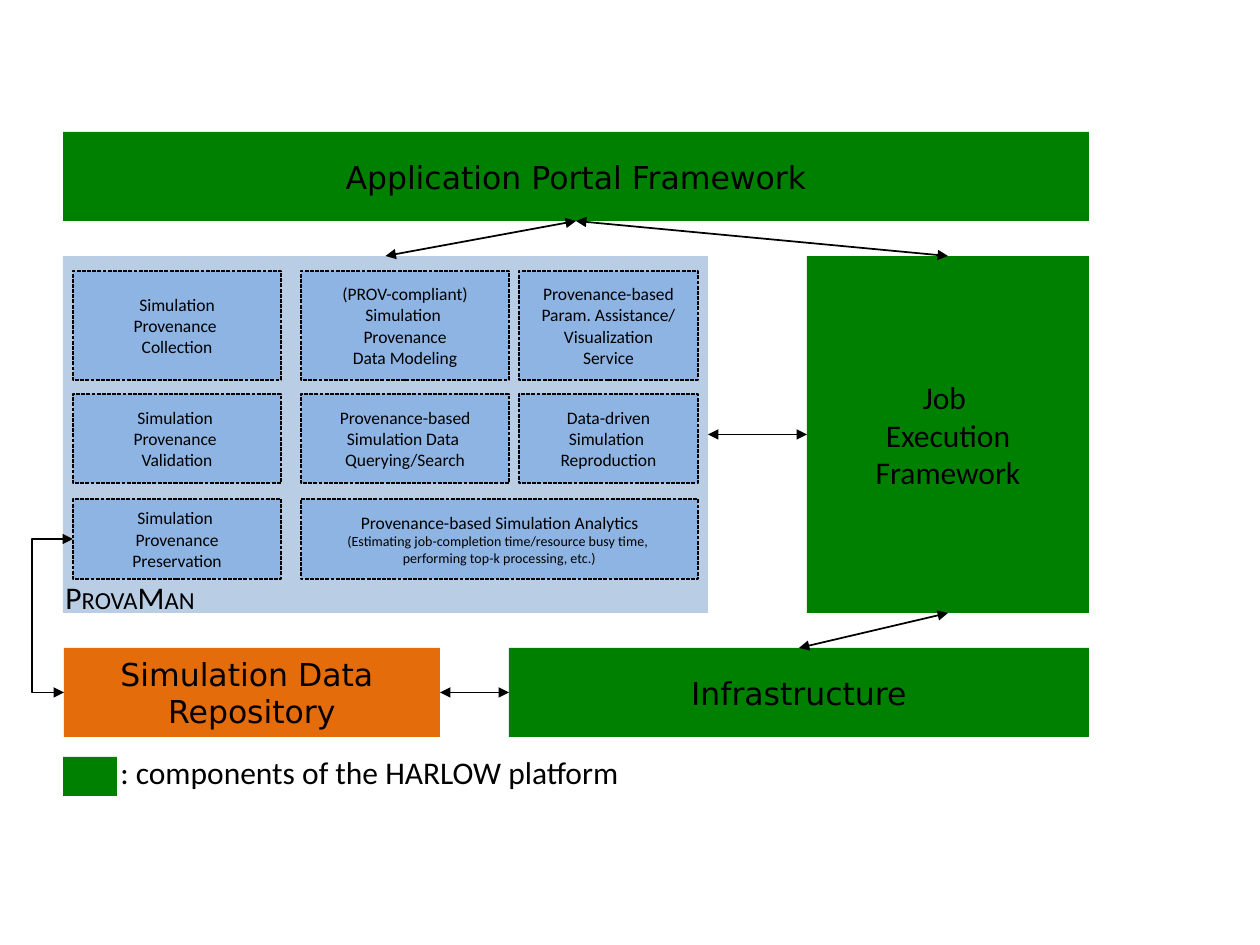
from dataclasses import dataclass
from typing import NamedTuple

from lxml.etree import SubElement
from pptx import Presentation
from pptx.dml.color import RGBColor
from pptx.enum.dml import MSO_LINE
from pptx.enum.shapes import MSO_CONNECTOR, MSO_SHAPE
from pptx.enum.text import MSO_ANCHOR, MSO_AUTO_SIZE, PP_ALIGN
from pptx.oxml.ns import qn
from pptx.util import Emu, Inches, Pt

PX_PER_INCH = 126
COLORS = {
    "platform": "008000",
    "panel": "B9CDE5",
    "module": "8EB4E3",
    "repository": "E46C0A",
    "ink": "000000",
}
TOP, LEFT, BOTTOM, RIGHT = range(4)


class Run(NamedTuple):
    text: str
    size: int


Paragraphs = tuple[tuple[Run, ...], ...]


def lines(size: int, *texts: str) -> Paragraphs:
    return tuple((Run(text, size),) for text in texts)


@dataclass(frozen=True)
class Box:
    key: str
    left: int
    top: int
    width: int
    height: int
    color: str
    paragraphs: Paragraphs = ()
    font: str = "Calibri"
    dashed: bool = False


@dataclass(frozen=True)
class Label:
    left: int
    top: int
    width: int
    height: int
    paragraphs: Paragraphs


@dataclass(frozen=True)
class Link:
    start: str
    start_side: int
    end: str
    end_side: int
    bend_x: int | None = None


COLUMNS = ((73, 208), (301, 208), (519, 179))
ROWS = ((271, 109), (394, 89), (499, 80))


def module(key: str, row: int, first: int, last: int, paragraphs: Paragraphs) -> Box:
    """Place a dashed module in a grid row, spanning columns first to last."""
    left = COLUMNS[first][0]
    right = sum(COLUMNS[last])
    top, height = ROWS[row]
    return Box(key, left, top, right - left, height, "module", paragraphs, dashed=True)


BOXES = (
    Box("portal", 63, 132, 1026, 89, "platform",
        lines(18, "Application Portal Framework"), "DejaVu Sans"),
    Box("manager", 63, 256, 645, 357, "panel"),
    Box("repository", 64, 648, 376, 89, "repository",
        lines(18, "Simulation Data ", "Repository"), "DejaVu Sans"),
    Box("infrastructure", 509, 648, 580, 89, "platform",
        lines(18, "Infrastructure"), "DejaVu Sans"),
    Box("execution", 807, 256, 282, 357, "platform",
        lines(18, "Job ", "Execution", "Framework")),
    module("collection", 0, 0, 0, lines(10, "Simulation", "Provenance ", "Collection")),
    module("modeling", 0, 1, 1,
           lines(10, "(PROV-compliant)", "Simulation ", "Provenance", "Data Modeling")),
    module("assistance", 0, 2, 2,
           lines(10, "Provenance-based", "Param. Assistance/", "Visualization", "Service")),
    module("validation", 1, 0, 0, lines(10, "Simulation ", "Provenance ", "Validation")),
    module("querying", 1, 1, 1,
           lines(10, "Provenance-based", "Simulation Data ", "Querying/Search")),
    module("reproduction", 1, 2, 2, lines(10, "Data-driven", "Simulation ", "Reproduction")),
    module("preservation", 2, 0, 0, lines(10, "Simulation ", "Provenance", "Preservation")),
    module("analytics", 2, 1, 2,
           lines(10, "Provenance-based Simulation Analytics")
           + lines(8, "(Estimating job-completion time/resource busy time, ",
                   "performing top-k processing, etc.)")),
    Box("legend", 63, 757, 54, 39, "platform"),
)

LABELS = (
    Label(53, 572, 172, 50, ((Run("P", 18), Run("ROVA", 14), Run("M", 18), Run("AN", 14)),)),
    Label(108, 747, 540, 50, lines(18, ": components of the HARLOW platform")),
)

LINKS = (
    Link("portal", BOTTOM, "manager", TOP),
    Link("execution", TOP, "portal", BOTTOM),
    Link("execution", LEFT, "manager", RIGHT),
    Link("execution", BOTTOM, "infrastructure", TOP),
    Link("infrastructure", LEFT, "repository", RIGHT),
    Link("preservation", LEFT, "repository", LEFT, bend_x=32),
)


def px(length: int) -> Emu:
    return Emu(round(length * Inches(1) / PX_PER_INCH))


def color(name: str) -> RGBColor:
    return RGBColor.from_string(COLORS[name])


def write_text(frame, paragraphs: Paragraphs, font: str, alignment, settings: dict) -> None:
    for attribute, value in settings.items():
        setattr(frame, attribute, value)
    for index, runs in enumerate(paragraphs):
        paragraph = frame.add_paragraph() if index else frame.paragraphs[0]
        paragraph.alignment = alignment
        for item in runs:
            run = paragraph.add_run()
            run.text = item.text
            for attribute, value in {"name": font, "size": Pt(item.size)}.items():
                setattr(run.font, attribute, value)
            run.font.color.rgb = color("ink")


def draw_box(slide, box: Box):
    shape = slide.shapes.add_shape(
        MSO_SHAPE.RECTANGLE, px(box.left), px(box.top), px(box.width), px(box.height))
    shape.shadow.inherit = False
    shape.fill.solid()
    shape.fill.fore_color.rgb = color(box.color)
    if box.dashed:
        shape.line.color.rgb = color("ink")
        shape.line.width = Pt(0.75)
        shape.line.dash_style = MSO_LINE.SQUARE_DOT
    else:
        shape.line.fill.background()
    if box.paragraphs:
        write_text(shape.text_frame, box.paragraphs, box.font, PP_ALIGN.CENTER,
                   {"word_wrap": False, "vertical_anchor": MSO_ANCHOR.MIDDLE})
    return shape


def draw_label(slide, label: Label) -> None:
    text_box = slide.shapes.add_textbox(
        px(label.left), px(label.top), px(label.width), px(label.height))
    write_text(text_box.text_frame, label.paragraphs, "Calibri", PP_ALIGN.LEFT,
               {"word_wrap": False, "auto_size": MSO_AUTO_SIZE.SHAPE_TO_FIT_TEXT})


def draw_link(slide, link: Link, shapes: dict) -> None:
    """Join two boxes with a double-headed arrow, bent at bend_x when given."""
    kind = MSO_CONNECTOR.STRAIGHT if link.bend_x is None else MSO_CONNECTOR.ELBOW
    connector = slide.shapes.add_connector(kind, 0, 0, 0, 0)
    connector.begin_connect(shapes[link.start], link.start_side)
    connector.end_connect(shapes[link.end], link.end_side)
    connector.line.color.rgb = color("ink")
    connector.line.width = Pt(1)
    properties = connector._element.spPr
    for end in ("a:headEnd", "a:tailEnd"):
        SubElement(properties.find(qn("a:ln")), qn(end), type="triangle")
    SubElement(properties, qn("a:effectLst"))
    if link.bend_x is not None:
        span = connector.end_x - connector.begin_x
        ratio = (px(link.bend_x) - connector.begin_x) / span
        adjustments = properties.find(qn("a:prstGeom")).get_or_add_avLst()
        SubElement(adjustments, qn("a:gd"), name="adj1", fmla=f"val {round(ratio * 100000)}")


def main() -> None:
    presentation = Presentation()
    presentation.slide_width, presentation.slide_height = Inches(10), Inches(7.5)
    slide = presentation.slides.add_slide(presentation.slide_layouts[6])
    shapes = {box.key: draw_box(slide, box) for box in BOXES}
    for label in LABELS:
        draw_label(slide, label)
    for link in LINKS:
        draw_link(slide, link, shapes)
    presentation.save("out.pptx")


if __name__ == "__main__":
    main()
